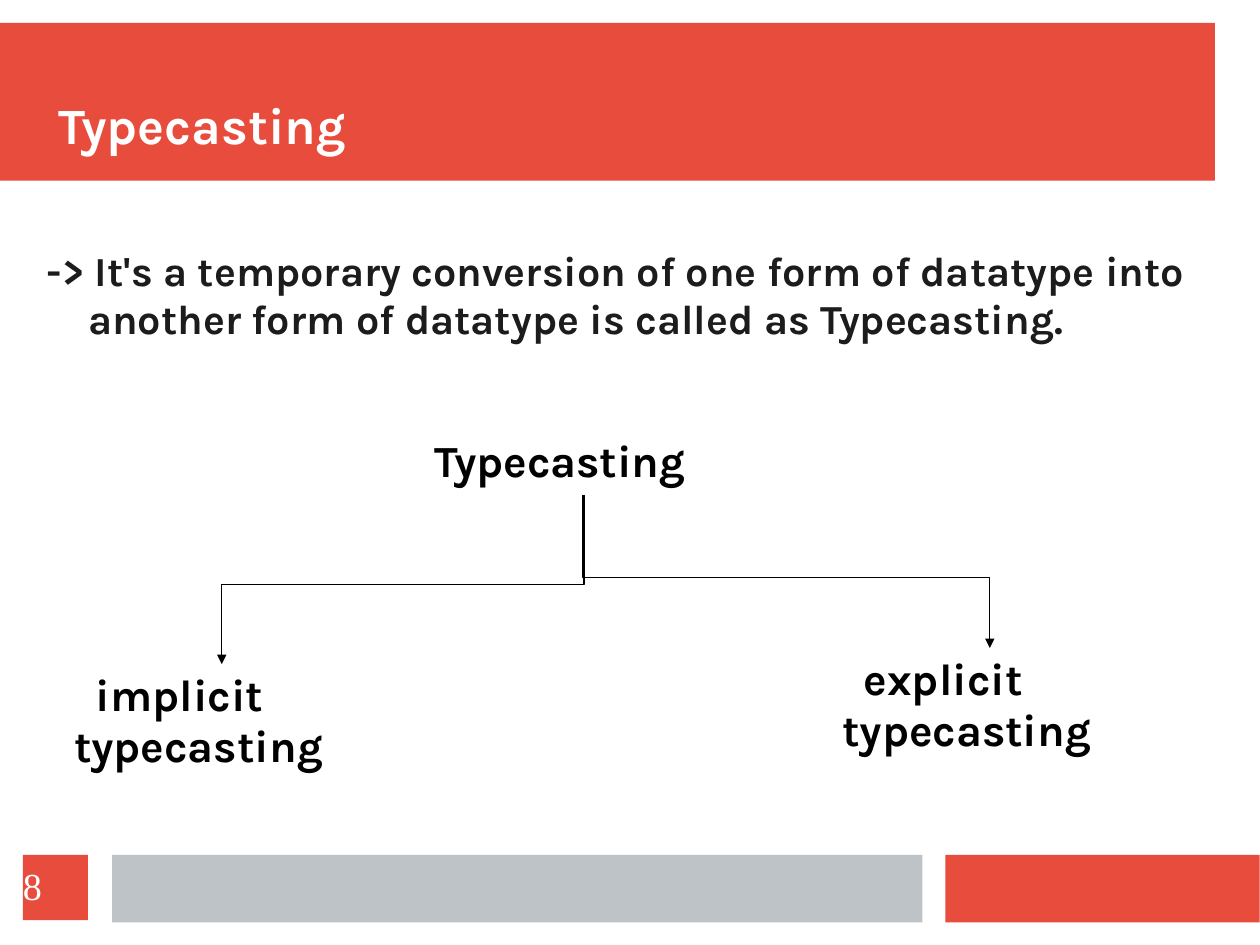
from dataclasses import dataclass

from lxml import etree
from pptx import Presentation
from pptx import util as u
from pptx.dml.color import RGBColor
from pptx.enum import shapes, text
from pptx.oxml import ns
from pptx.util import Inches

CM_PER_INCH = 2.54


@dataclass(frozen=True)
class Theme:
    red: str = "E74C3C"
    grey: str = "BDC3C7"
    white: str = "FFFFFF"
    ink: str = "1C1C1C"
    black: str = "000000"
    font: str = "Karla"
    number_font: str = "Times New Roman"
    title_size: int = 32
    body_size: int = 26
    label_size: int = 28
    number_size: int = 24
    line_width: float = 0.75
    line_spacing: float = 0.97


THEME = Theme()


def place(shape, left, top, width, height):
    shape.left, shape.top = Inches(left), Inches(top)
    shape.width, shape.height = Inches(width), Inches(height)


def style(paragraph, size, color, font=THEME.font, bold=True):
    paragraph.alignment = text.PP_ALIGN.LEFT
    paragraph.line_spacing = THEME.line_spacing
    paragraph.space_before = u.Pt(0)
    paragraph.font.name = font
    paragraph.font.size = u.Pt(size)
    paragraph.font.bold = bold
    paragraph.font.color.rgb = RGBColor.from_string(color)


def indent(paragraph, margin, first):
    properties = paragraph._p.get_or_add_pPr()
    properties.set("marL", str(Inches(margin)))
    properties.set("indent", str(Inches(first)))


def set_frame(frame, anchor, insets=(0, 0, 0, 0)):
    frame.word_wrap = True
    frame.auto_size = text.MSO_AUTO_SIZE.NONE
    frame.vertical_anchor = anchor
    (frame.margin_left, frame.margin_top,
     frame.margin_right, frame.margin_bottom) = map(Inches, insets)


def add_band(slide, left, top, width, height, color):
    band = slide.shapes.add_shape(
        shapes.MSO_SHAPE.RECTANGLE, *map(Inches, (left, top, width, height)))
    band.shadow.inherit = False
    band.fill.solid()
    band.fill.fore_color.rgb = RGBColor.from_string(color)
    band.line.fill.background()
    return band


def add_header(slide):
    header = add_band(slide, 0, 0.2, 10.63, 1.38, THEME.red)
    slide.shapes._spTree.insert(2, header._element)
    title = slide.shapes.title
    place(title, 0.39, 0.39, 10.23, 0.98)
    set_frame(title.text_frame, text.MSO_ANCHOR.BOTTOM)
    title.text_frame.text = "Typecasting"
    heading = title.text_frame.paragraphs[0]
    style(heading, THEME.title_size, THEME.white)
    indent(heading, 0.12, 0)


def add_definition(slide):
    body = slide.placeholders[1]
    place(body, 0.39, 2.16, 10.04, 5.12)
    set_frame(body.text_frame, text.MSO_ANCHOR.TOP, (0, 0.01, 0, 0))
    body.text_frame.text = (
        "-> It's a temporary conversion of one form of datatype into "
        "another form of datatype is called as Typecasting.")
    definition = body.text_frame.paragraphs[0]
    style(definition, THEME.body_size, THEME.ink)
    definition.space_after = u.Pt(11.5)
    indent(definition, 0.38, -0.36)
    etree.SubElement(definition._p.pPr, ns.qn("a:buNone"))


def add_label(slide, left, top, width, height, lines, first_indent=0):
    label = slide.shapes.add_textbox(*map(Inches, (left, top, width, height)))
    frame = label.text_frame
    set_frame(frame, text.MSO_ANCHOR.TOP, (0.1, 0.05, 0.1, 0.05))
    frame.text = "\n".join(lines)
    for paragraph in frame.paragraphs:
        style(paragraph, THEME.label_size, THEME.black)
    indent(frame.paragraphs[0], 0, first_indent)


def add_branch(slide, start, end, bend):
    (x1, y1), (x2, y2) = start, end
    center_x, center_y = (x1 + x2) / 2, (y1 + y2) / 2
    half_drop, half_span = (y2 - y1) / 2, abs(x2 - x1) / 2
    direction, rotation = (1, 90) if x2 < x1 else (-1, 270)
    branch = slide.shapes.add_connector(
        shapes.MSO_CONNECTOR.ELBOW,
        Inches(center_x - direction * half_drop), Inches(center_y - half_span),
        Inches(center_x + direction * half_drop), Inches(center_y + half_span))
    branch.line.color.rgb = RGBColor.from_string(THEME.black)
    branch.line.width = u.Pt(THEME.line_width)
    properties = branch._element.spPr
    properties.find(ns.qn("a:xfrm")).set("rot", str(rotation * 60000))
    adjustments = properties.find(ns.qn("a:prstGeom")).find(ns.qn("a:avLst"))
    etree.SubElement(adjustments, ns.qn("a:gd"),
                     name="adj1", fmla=f"val {round(bend * 100000)}")
    etree.SubElement(branch.line._get_or_add_ln(), ns.qn("a:tailEnd"),
                     type="triangle")
    etree.SubElement(properties, ns.qn("a:effectLst"))


def add_footer(slide):
    add_band(slide, 8.27, 7.48, 2.75, 0.59, THEME.red)
    add_band(slide, 0.98, 7.48, 7.09, 0.59, THEME.grey)
    page = add_band(slide, 0.2, 7.48, 0.57, 0.57, THEME.red)
    set_frame(page.text_frame, text.MSO_ANCHOR.MIDDLE)
    page.text_frame.text = "8"
    style(page.text_frame.paragraphs[0], THEME.number_size, THEME.white,
          THEME.number_font, bold=False)


def main():
    deck = Presentation()
    deck.slide_width = Inches(28 / CM_PER_INCH)
    deck.slide_height = Inches(21 / CM_PER_INCH)
    slide = deck.slides.add_slide(deck.slide_layouts[1])
    add_header(slide)
    add_definition(slide)
    add_label(slide, 3.7, 3.77, 2.81, 0.57, ["Typecasting"])
    for kind, left, top in (("implicit", 0.55, 5.81), ("explicit", 7.27, 5.67)):
        add_label(slide, left, top, 2.77, 1.02, [kind, "typecasting"], 0.19)
    add_branch(slide, (5.11, 4.33), (1.94, 5.81), 0.53)
    add_branch(slide, (5.1, 4.33), (8.66, 5.67), 0.54)
    add_footer(slide)
    deck.save("out.pptx")


if __name__ == "__main__":
    main()
